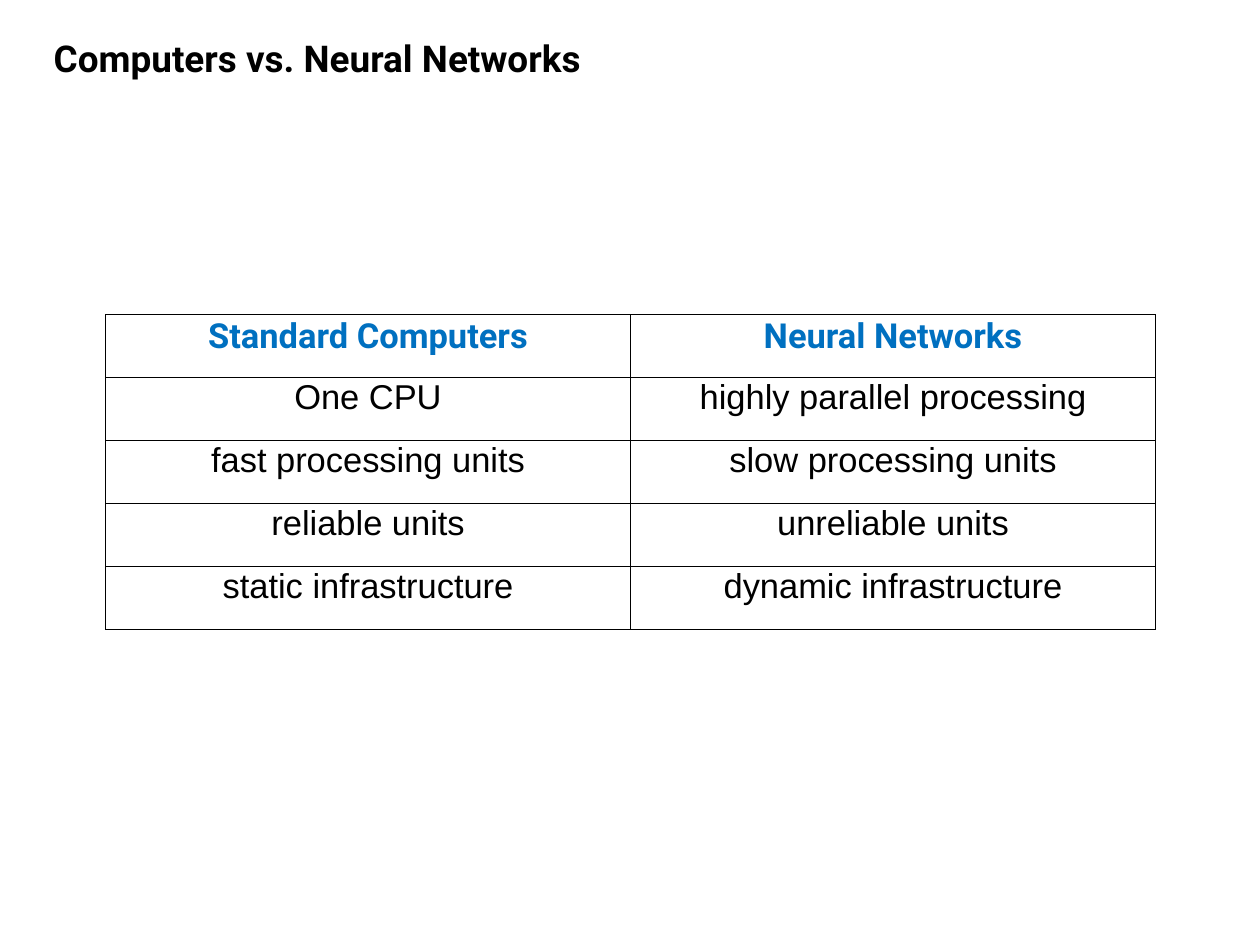
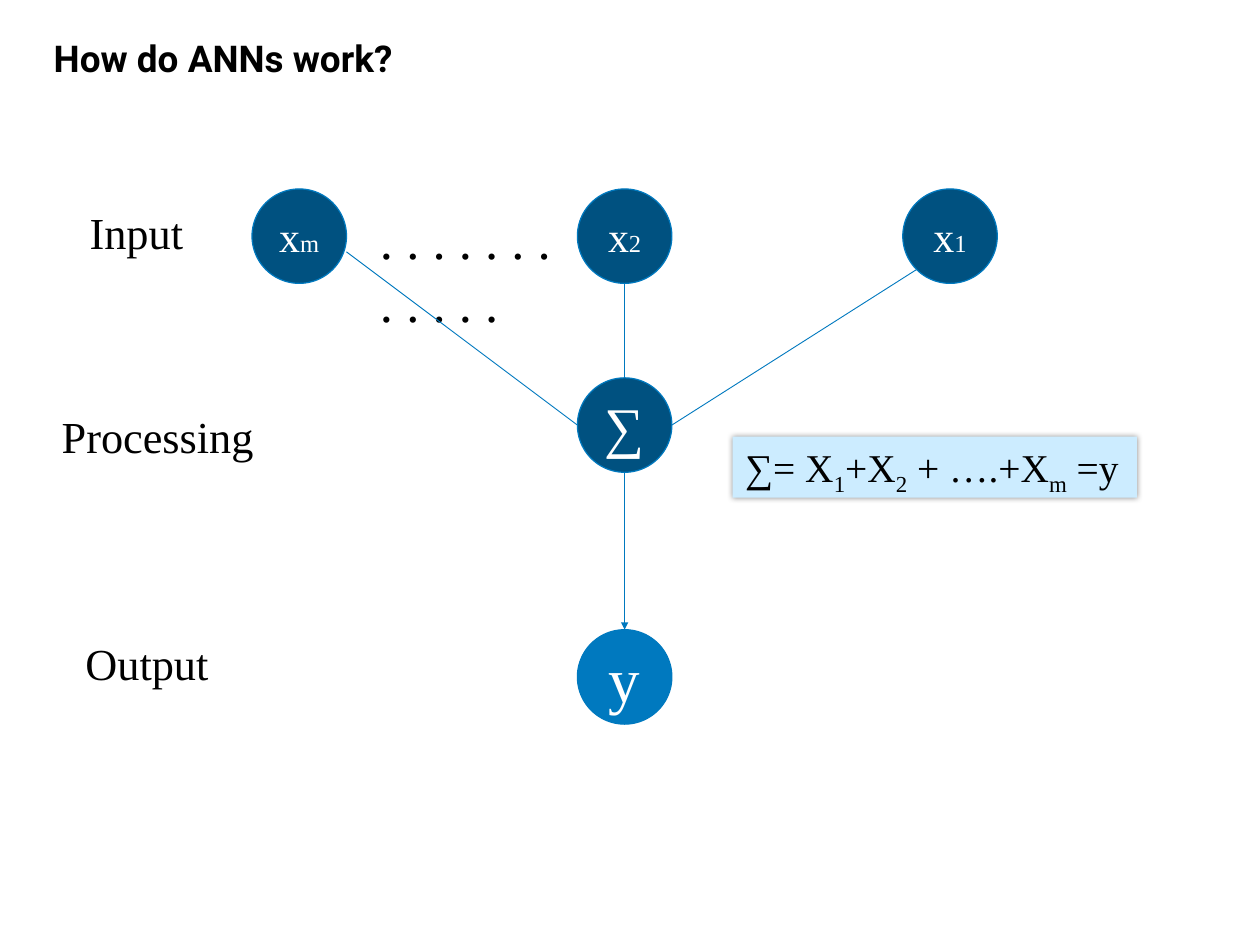
from lxml.etree import SubElement
from pptx import Presentation
from pptx.dml.color import RGBColor
from pptx.enum.shapes import MSO_CONNECTOR as CONNECTOR, MSO_SHAPE as SHAPE
from pptx.enum.text import MSO_ANCHOR as ANCHOR, PP_ALIGN as ALIGN
from pptx.oxml import parse_xml
from pptx.oxml.ns import nsdecls, qn
from pptx.util import Inches, Pt

COLORS = {
    "black": "000000",
    "white": "FFFFFF",
    "heading": "0070C0",
    "node": "005180",
    "accent": "0079BF",
    "formula": "CCECFF",
}
SANS, HEAD, SERIF = "Arial", "Roboto", "Times New Roman"

deck = Presentation()
deck.slide_width, deck.slide_height = Inches(14.22), Inches(10.67)
UNIT = deck.slide_width / 40  # the grid has 40 columns and 30 rows


def grid(*cells):
    return [round(cell * UNIT) for cell in cells]


def write(frame, spans, size, font, color="black", align=ALIGN.LEFT, bold=False):
    """Fill the first paragraph with (text, span size, baseline) spans."""
    para = frame.paragraphs[0]
    para.alignment = align
    para.font.size, para.font.name, para.font.bold = Pt(size), font, bold
    para.font.color.rgb = RGBColor.from_string(COLORS[color])
    for text, span_size, baseline in spans:
        span = para.add_run()
        span.text = text
        if span_size:
            span.font.size = Pt(span_size)
        if baseline:
            span.font._element.set("baseline", str(baseline * 1000))
    return para


# Both pages share the title style
pages = []
for title in ("Computers vs. Neural Networks", "How do ANNs work?"):
    page = deck.slides.add_slide(deck.slide_layouts[6])
    box = page.shapes.add_textbox(*grid(1.43, 1.15, 25, 1.57))
    box.text_frame.word_wrap = True
    write(box.text_frame, [(title, None, 0)], 30, HEAD, bold=True).line_spacing = 0.9
    pages.append(page)
comparison, network = pages

# Comparison table
ROWS = [
    ("Standard Computers", "Neural Networks"),
    ("One CPU", "highly parallel processing"),
    ("fast processing units", "slow processing units"),
    ("reliable units", "unreliable units"),
    ("static infrastructure", "dynamic infrastructure"),
]
table = comparison.shapes.add_table(
    len(ROWS), 2, *grid(3.35, 10, 33.33, 2 * len(ROWS))).table
for r, row in enumerate(ROWS):
    for c, text in enumerate(row):
        cell = table.cell(r, c)
        for side in ("lnL", "lnR", "lnT", "lnB"):
            border = SubElement(cell._tc.get_or_add_tcPr(), qn(f"a:{side}"), w=str(Pt(1)))
            SubElement(SubElement(border, qn("a:solidFill")), qn("a:srgbClr"),
                       val=COLORS["black"])
        cell.fill.background()
        font, color = (HEAD, "heading") if r == 0 else (SANS, "black")
        para = write(cell.text_frame, [(text, None, 0)], 28, font, color,
                     ALIGN.CENTER, bold=r == 0)
        para.line_spacing = 0.9

# Text beside the network: layer labels and the dots between inputs
for text, left, top, width, height, size, align in [
    ("Input", 0.33, 6.33, 8, 2.1, 36, ALIGN.CENTER),
    ("Processing", 0.17, 12.8, 9.67, 2.1, 36, ALIGN.CENTER),
    ("Output", 0, 20, 9.33, 2.1, 36, ALIGN.CENTER),
    (". . . . . . . . . . . .", 11.67, 6.38, 6.33, 4.44, 42.7, ALIGN.LEFT),
]:
    box = network.shapes.add_textbox(*grid(left, top, width, height))
    frame = box.text_frame
    frame.word_wrap = True
    frame.margin_left = frame.margin_right = Inches(0.14)
    frame.margin_top = frame.margin_bottom = Inches(0.07)
    write(frame, [(text, None, 0)], size, SERIF, align=align)

# Nodes: three evenly spaced inputs, with sum and output under the middle one
NODE = 3
LEFT, MIDDLE, RIGHT = (8 + 10.33 * i for i in range(3))
INPUT, SUM, OUTPUT = 6, 12, 20
for left, top, fill, size, spans in [
    (LEFT, INPUT, "node", 34.1, [("x", None, 0), ("m", 19.9, 0)]),
    (MIDDLE, INPUT, "node", 34.1, [("x", None, 0), ("2", 19.9, 0)]),
    (RIGHT, INPUT, "node", 34.1, [("x", None, 0), ("1", 19.9, 0)]),
    (MIDDLE, SUM, "node", 45.5, [("∑", None, 0)]),
    (MIDDLE, OUTPUT, "accent", 51.2, [("y", None, 0)]),
]:
    node = network.shapes.add_shape(SHAPE.OVAL, *grid(left, top, NODE, NODE))
    node.shadow.inherit = False
    node.fill.solid()
    node.fill.fore_color.rgb = RGBColor.from_string(COLORS[fill])
    node.line.color.rgb = RGBColor.from_string(COLORS["accent"])
    node.line.width = Pt(1)
    frame = node.text_frame
    frame.vertical_anchor = ANCHOR.MIDDLE
    frame.margin_left = frame.margin_right = Inches(0.14)
    frame.margin_top = frame.margin_bottom = Inches(0.07)
    write(frame, spans, size, SERIF, "white", ALIGN.CENTER)

# Links between the nodes
HALF = NODE / 2
for start_x, start_y, end_x, end_y, arrow in [
    (LEFT + NODE, INPUT + 2, MIDDLE, SUM + HALF, False),
    (MIDDLE + HALF, INPUT + NODE, MIDDLE + HALF, SUM, False),
    (RIGHT + 0.44, INPUT + 2.56, MIDDLE + NODE, SUM + HALF, False),
    (MIDDLE + HALF, SUM + NODE, MIDDLE + HALF, OUTPUT, True),
]:
    link = network.shapes.add_connector(
        CONNECTOR.STRAIGHT, *grid(start_x, start_y, end_x, end_y))
    link.line.color.rgb = RGBColor.from_string(COLORS["accent"])
    link.line.width = Pt(0.75)
    if arrow:
        SubElement(link.line._get_or_add_ln(), qn("a:tailEnd"), type="triangle")
    SubElement(link._element.spPr, qn("a:effectLst"))

# Formula with a soft glow of shadow
formula = network.shapes.add_shape(SHAPE.RECTANGLE, *grid(23.26, 13.87, 12.83, 1.94))
formula.fill.solid()
formula.fill.fore_color.rgb = RGBColor.from_string(COLORS["formula"])
formula.line.fill.background()
formula._element.spPr.append(parse_xml(
    f'<a:effectLst {nsdecls("a")}><a:outerShdw blurRad="{Pt(5)}" dist="0" dir="0">'
    f'<a:srgbClr val="{COLORS["black"]}"><a:alpha val="40000"/></a:srgbClr>'
    '</a:outerShdw></a:effectLst>'))
frame = formula.text_frame
frame.word_wrap = False
frame.vertical_anchor = ANCHOR.TOP
frame.margin_left = frame.margin_right = Inches(0.14)
frame.margin_top = frame.margin_bottom = Inches(0.07)
parts = ["∑= X", "1", "+X", "2", " + ….+X", "m", " =y"]
write(frame, [(part, None, -25 * (i % 2)) for i, part in enumerate(parts)], 32, SERIF)

deck.save("out.pptx")
